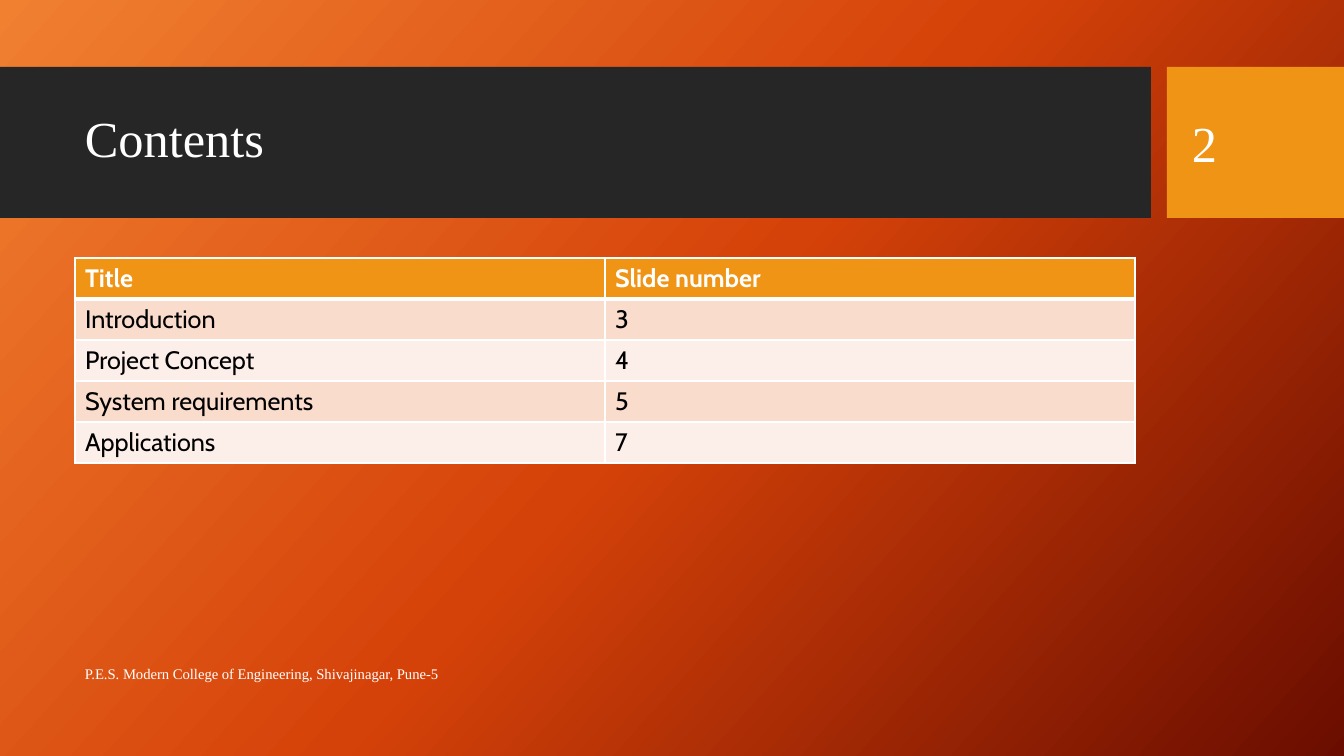
from copy import deepcopy
from dataclasses import dataclass

from pptx import Presentation
from pptx.dml.color import RGBColor as RGB
from pptx.enum.shapes import MSO_SHAPE as SHAPE
from pptx.enum.text import MSO_ANCHOR as ANCHOR
from pptx.oxml import parse_xml
from pptx.oxml.ns import nsdecls, qn
from pptx.util import Emu, Pt

PX_PER_INCH = 100.8
WIDTH, HEIGHT = 1344, 756


@dataclass(frozen=True)
class Theme:
    white: str = "FFFFFF"
    black: str = "000000"
    band: str = "262626"
    accent: str = "F09415"
    row_dark: str = "F9DCCC"
    row_light: str = "FCEEE8"
    gradient: tuple = ((0, "F18031"), (0.5, "D54209"), (1, "6A0D00"))
    gradient_angle: int = 42
    serif: str = "Times New Roman"
    sans: str = "Cabin"
    title: float = 36
    body: float = 18
    footer: float = 10.5
    line: int = 1
    header_line: int = 3


THEME = Theme()


def px(n):
    return Emu(round(n * 914400 / PX_PER_INCH))


def write(tf, text, size=THEME.body, font=THEME.serif, color=THEME.white,
          bold=False, spacing=None):
    p = tf.paragraphs[0]
    p.line_spacing = spacing
    r = p.add_run()
    r.text = text
    r.font.size = Pt(size)
    r.font.name = font
    r.font.bold = bold
    r.font.color.rgb = RGB.from_string(color)


def add_text(s, box, text, **fmt):
    tf = s.shapes.add_textbox(*map(px, box)).text_frame
    tf.word_wrap = True
    tf.vertical_anchor = ANCHOR.MIDDLE
    write(tf, text, **fmt)


def add_block(s, box, color):
    sp = s.shapes.add_shape(SHAPE.RECTANGLE, *map(px, box))
    sp.shadow.inherit = False
    sp.fill.solid()
    sp.fill.fore_color.rgb = RGB.from_string(color)
    sp.line.fill.background()


def paint_background(s):
    fill = s.background.fill
    fill.gradient()
    fill.gradient_angle = 360 - THEME.gradient_angle
    stops = s.element.find(".//" + qn("a:gsLst"))
    stops.insert(1, deepcopy(stops[0]))
    for stop, (position, color) in zip(fill.gradient_stops, THEME.gradient):
        stop.position = position
        stop.color.rgb = RGB.from_string(color)


def add_header(s, box, title, number):
    x, y, w, h = box
    badge_w, gap = 177, 16
    band_w = w - badge_w - gap
    badge_x = x + w - badge_w
    add_block(s, (x, y, band_w, h), THEME.band)
    add_block(s, (badge_x, y, badge_w, h), THEME.accent)
    add_text(s, (x + 75, y + 15, band_w - 91, h - 32), title,
             size=THEME.title, spacing=0.9)
    add_text(s, (badge_x + 15, y + 15, 127, h - 31), number, size=THEME.title)


def set_borders(cell, **widths):
    tcPr = cell._tc.get_or_add_tcPr()
    for side in "LRTB":
        width = Pt(widths.get(side, THEME.line))
        tcPr.append(parse_xml(
            f'<a:ln{side} {nsdecls("a")} w="{width}"><a:solidFill>'
            f'<a:srgbClr val="{THEME.white}"/></a:solidFill></a:ln{side}>'))


def add_contents(s, box, rows):
    x, y, w, h = box
    n_rows, n_cols = len(rows), len(rows[0])
    table = s.shapes.add_table(n_rows, n_cols, *map(px, box)).table
    for col in table.columns:
        col.width = px(w / n_cols)
    for i, values in enumerate(rows):
        table.rows[i].height = px(h / n_rows)
        header = i == 0
        stripe = THEME.row_dark if i % 2 else THEME.row_light
        edges = {0: {"B": THEME.header_line}, 1: {"T": THEME.header_line}}
        for j, value in enumerate(values):
            cell = table.cell(i, j)
            set_borders(cell, **edges.get(i, {}))
            cell.fill.solid()
            cell.fill.fore_color.rgb = RGB.from_string(
                THEME.accent if header else stripe)
            write(cell.text_frame, value, font=THEME.sans, bold=header,
                  color=THEME.white if header else THEME.black)


def add_footer(s, box, text):
    add_text(s, box, text, size=THEME.footer)


def main():
    prs = Presentation()
    prs.slide_width, prs.slide_height = px(WIDTH), px(HEIGHT)
    s = prs.slides.add_slide(prs.slide_layouts[6])
    paint_background(s)
    add_header(s, (0, 67, WIDTH, 151), "Contents", "2")
    add_contents(s, (75, 258, 1060, 205), [
        ("Title", "Slide number"),
        ("Introduction", "3"),
        ("Project Concept", "4"),
        ("System requirements", "5"),
        ("Applications", "7"),
    ])
    add_footer(s, (75, 654, 757, 40),
               "P.E.S. Modern College of Engineering, Shivajinagar, Pune-5")
    prs.save("out.pptx")


if __name__ == "__main__":
    main()
